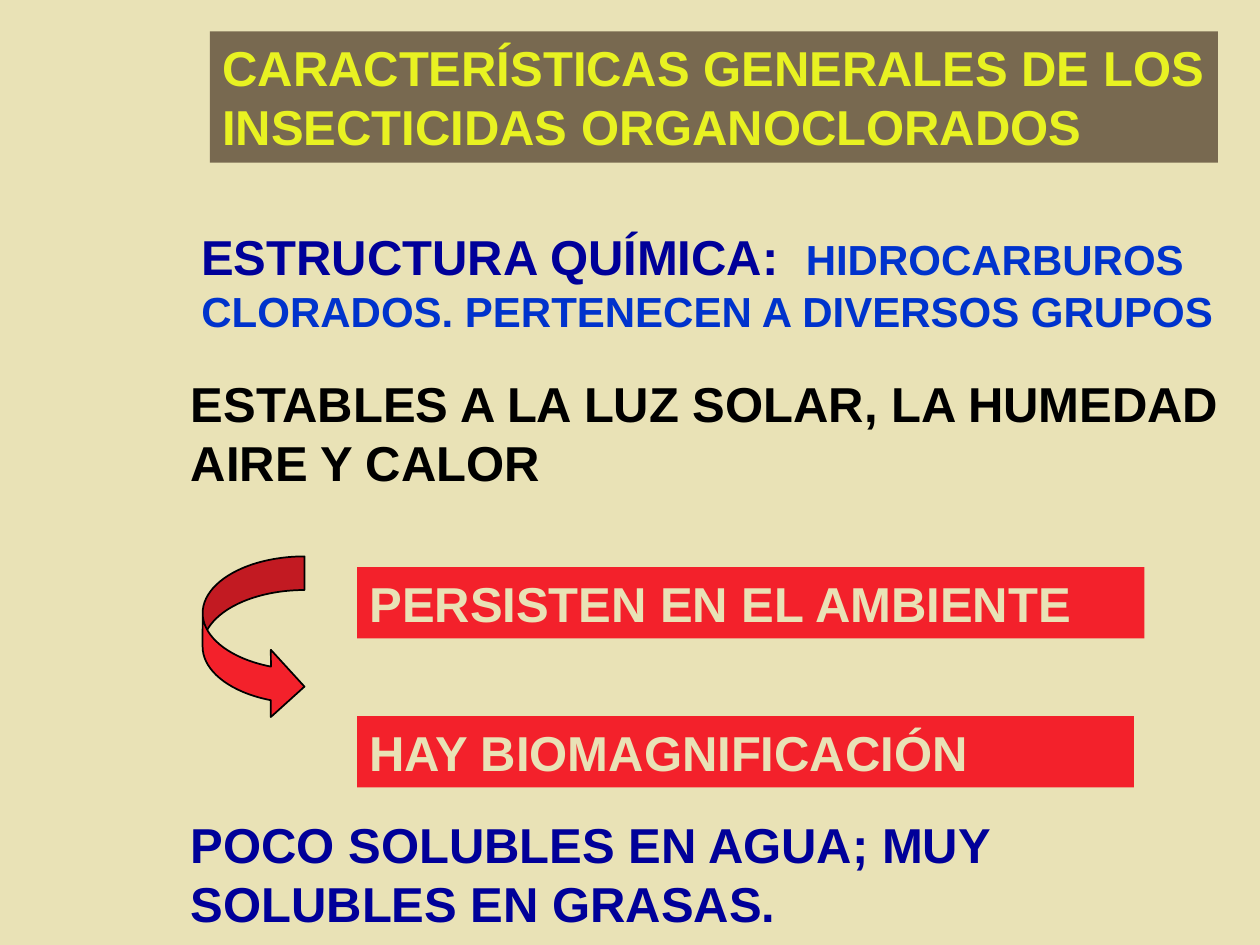
from pptx import Presentation
from pptx.dml.color import RGBColor
from pptx.enum.shapes import MSO_SHAPE
from pptx.enum.text import MSO_ANCHOR, MSO_AUTO_SIZE, PP_ALIGN
from pptx.util import Inches, Pt

HUES = {
    "sand": "E9E2B6", "brown": "786950", "lime": "E8F222", "navy": "000099",
    "blue": "0033CC", "black": "000000", "red": "F3212B",
}
COLS, ROWS = 120, 90
WIDE, TALL = Inches(10), Inches(7.5)
FONT = {"name": "Arial", "bold": True}
FRAME = {
    "auto_size": MSO_AUTO_SIZE.SHAPE_TO_FIT_TEXT,
    "vertical_anchor": MSO_ANCHOR.TOP,
    "margin_left": Inches(0.1), "margin_right": Inches(0.1),
    "margin_top": Inches(0.05), "margin_bottom": Inches(0.05),
}


def hue(name):
    """Return the named colour."""
    return RGBColor.from_string(HUES[name])


def apply(item, values):
    """Set each named attribute of an item."""
    for key, value in values.items():
        setattr(item, key, value)


def place(box):
    """Turn a box of grid columns and rows into slide lengths."""
    left, top, width, height = box
    return [int(part) for part in (
        left * WIDE / COLS, top * TALL / ROWS,
        width * WIDE / COLS, height * TALL / ROWS)]


def write(frame, lines, wrap):
    """Fill a frame with lines of (text, size, colour) runs."""
    apply(frame, {**FRAME, "word_wrap": wrap})
    for index, line in enumerate(lines):
        para = frame.add_paragraph() if index else frame.paragraphs[0]
        para.alignment = PP_ALIGN.LEFT
        for text, size, color in line:
            run = para.add_run()
            run.text = text
            apply(run.font, {**FONT, "size": Pt(size)})
            run.font.color.rgb = hue(color)


def note(slide, box, lines, wrap=True):
    """Add plain text in a box."""
    write(slide.shapes.add_textbox(*place(box)).text_frame, lines, wrap)


def band(slide, box, fill, lines, wrap=True):
    """Add text on a filled rectangle in a box."""
    shape = slide.shapes.add_shape(MSO_SHAPE.RECTANGLE, *place(box))
    shape.shadow.inherit = False
    shape.fill.solid()
    shape.fill.fore_color.rgb = hue(fill)
    shape.line.fill.background()
    write(shape.text_frame, lines, wrap)


def arrow(slide, box):
    """Add the curved arrow in a box."""
    shape = slide.shapes.add_shape(MSO_SHAPE.CURVED_RIGHT_ARROW, *place(box))
    shape.shadow.inherit = False
    shape.fill.solid()
    shape.fill.fore_color.rgb = hue("red")
    shape.line.color.rgb = hue("black")
    shape.line.width = Pt(1)
    for index, value in enumerate((0.33, 0.66, 0.33)):
        shape.adjustments[index] = value


def effects(slide, box):
    """Add the arrow and the two red bands in a box."""
    left, top, width, height = box
    arrow(slide, (left, top, 9.7, 15.6))
    bands = ((1, width, "PERSISTEN EN EL AMBIENTE"),
             (15.2, width - 1, "HAY BIOMAGNIFICACIÓN"))
    for drop, edge, text in bands:
        band(slide, (left + 14.7, top + drop, edge - 14.7, height - 15.2),
             "red", [[(text, 28, "sand")]])


def main():
    """Build and save the slide."""
    deck = Presentation()
    apply(deck, {"slide_width": WIDE, "slide_height": TALL})
    slide = deck.slides.add_slide(deck.slide_layouts[6])
    slide.background.fill.solid()
    slide.background.fill.fore_color.rgb = hue("sand")
    band(slide, (20, 3, 96, 12.5), "brown", [
        [("CARACTERÍSTICAS GENERALES DE LOS", 28, "lime")],
        [("INSECTICIDAS ORGANOCLORADOS", 28, "lime")]], wrap=False)
    note(slide, (18, 21, 99, 11.6), [
        [("ESTRUCTURA QUÍMICA:  ", 28, "navy"), ("HIDROCARBUROS", 24, "blue")],
        [("CLORADOS. PERTENECEN A DIVERSOS GRUPOS", 24, "blue")]], wrap=False)
    note(slide, (17, 35, 100.5, 12.5), [
        [("ESTABLES A LA LUZ SOLAR, LA HUMEDAD AIRE Y CALOR", 28, "black")]])
    effects(slide, (19.3, 53, 89.7, 22))
    note(slide, (17, 77, 103, 12.5), [
        [("POCO SOLUBLES EN AGUA; MUY SOLUBLES EN GRASAS.", 28, "navy")]])
    deck.save("out.pptx")


if __name__ == "__main__":
    main()
